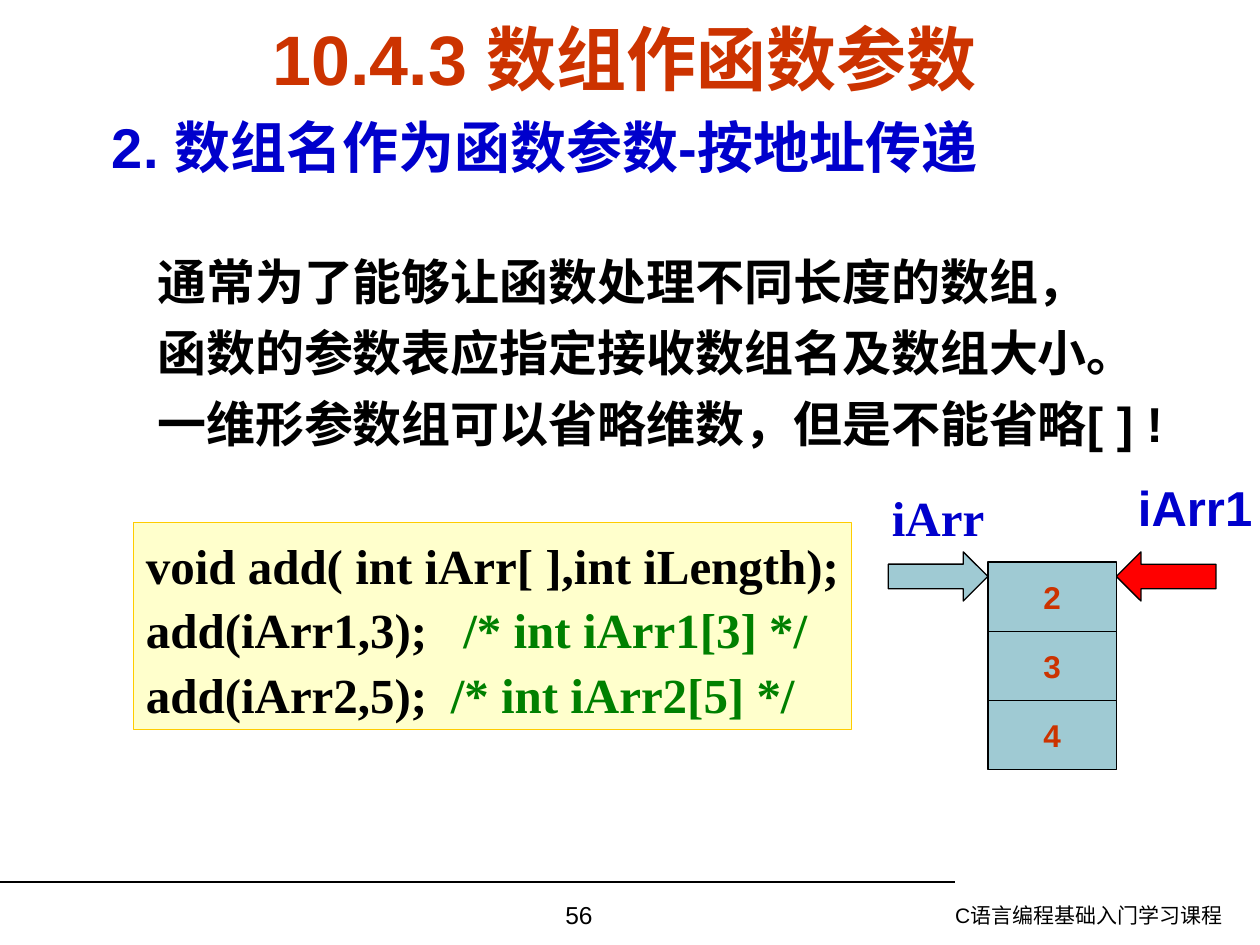
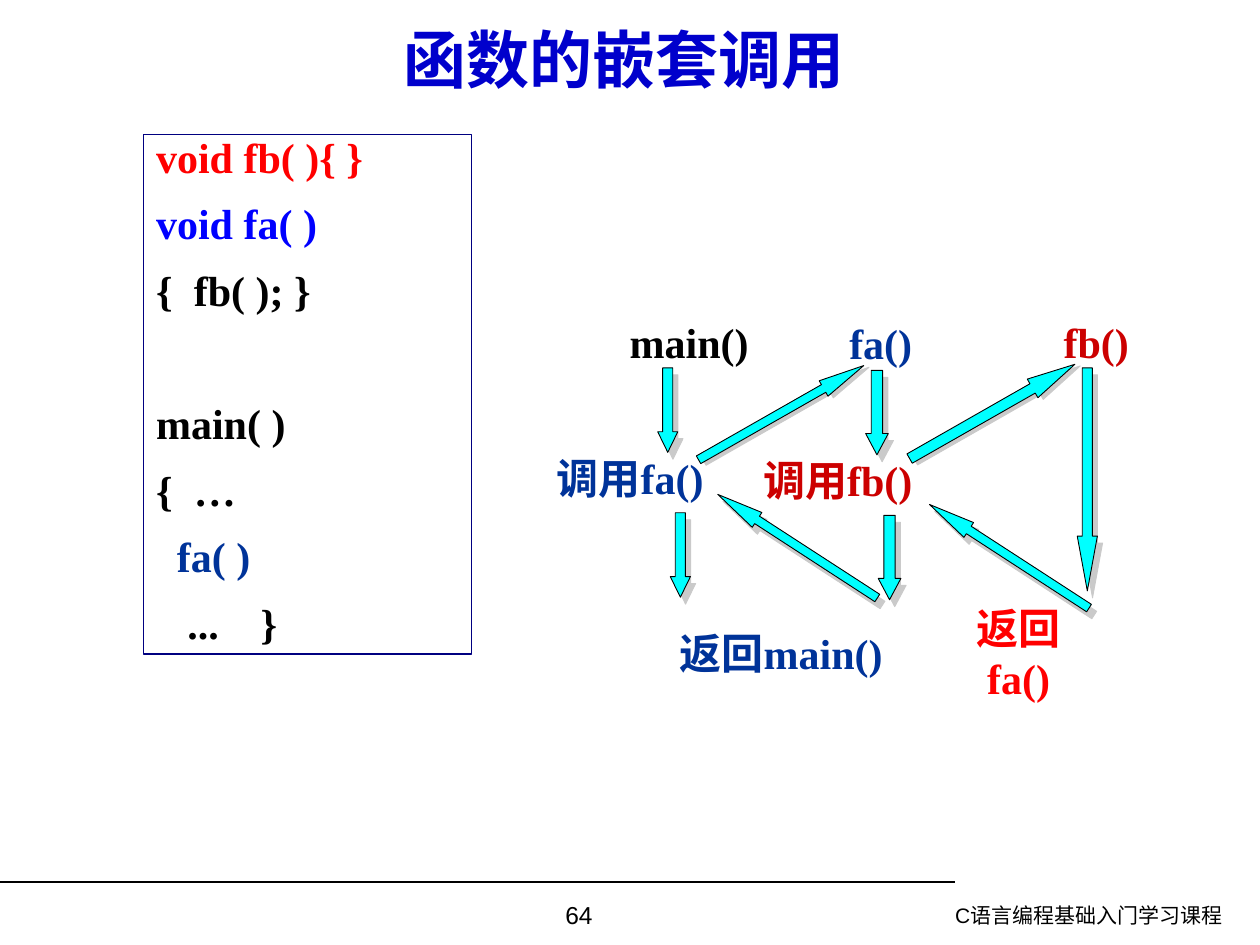
from dataclasses import dataclass

from lxml import etree
from pptx import Presentation
from pptx.dml.color import RGBColor
from pptx.enum.shapes import MSO_CONNECTOR, MSO_SHAPE
from pptx.enum.text import MSO_ANCHOR, PP_ALIGN
from pptx.oxml.ns import qn
from pptx.util import Inches, Pt

SANS, SERIF = "Arial", "Times New Roman"
BLACK, RED, BLUE = "000000", "FF0000", "0000CC"
NAVY, CRIMSON, RUST, GREEN = "003399", "CC0000", "CC3300", "008000"
TEAL, CYAN, SHADOW = "9FCAD3", "00FFFF", "CACACA"
COURSE = "C语言编程基础入门学习课程"


@dataclass(frozen=True)
class Box:
    left: float
    top: float
    width: float
    height: float


@dataclass(frozen=True)
class Line:
    """One paragraph, as (text, colour) pieces."""
    pieces: tuple
    size: float
    font: str = SERIF
    bold: bool = True
    align: PP_ALIGN = PP_ALIGN.LEFT
    before: float = 0
    spacing: float = 1.0
    indent: float = 0
    tabs: tuple = ()


@dataclass(frozen=True)
class Label:
    """A centred caption of one or more lines."""
    box: Box
    lines: tuple
    color: str
    size: float = 24
    font: str = SERIF


@dataclass(frozen=True)
class CallArrow:
    box: Box
    head: float
    rotation: float = 0
    distance: float = 5
    direction: float = 53


def rgb(color: str) -> RGBColor:
    return RGBColor.from_string(color)


def place(box: Box) -> tuple:
    return tuple(map(Inches, (box.left, box.top, box.width, box.height)))


def write(shape, lines, anchor=MSO_ANCHOR.TOP, wrap: bool = True) -> None:
    frame = shape.text_frame
    frame.word_wrap = wrap
    frame.vertical_anchor = anchor
    for index, line in enumerate(lines):
        paragraph = frame.add_paragraph() if index else frame.paragraphs[0]
        paragraph.alignment = line.align
        paragraph.line_spacing = line.spacing
        if line.before:
            paragraph.space_before = Pt(line.before)
        props = paragraph._p.get_or_add_pPr()
        if line.indent:
            props.set("marL", str(Inches(line.indent)))
        if line.tabs:
            stops = etree.SubElement(props, qn("a:tabLst"))
            for stop in line.tabs:
                etree.SubElement(stops, qn("a:tab"), pos=str(Inches(stop)), algn="l")
        font = paragraph.font
        font.name, font.size, font.bold = line.font, Pt(line.size), line.bold
        if len(line.pieces) == 1:
            font.color.rgb = rgb(line.pieces[0][1])
        for text, color in line.pieces:
            run = paragraph.add_run()
            run.text = text
            if len(line.pieces) > 1:
                run.font.color.rgb = rgb(color)


def add_text(slide, box: Box, lines):
    text_box = slide.shapes.add_textbox(*place(box))
    write(text_box, lines)
    return text_box


def add_label(slide, label: Label) -> None:
    caption = slide.shapes.add_textbox(*place(label.box))
    # Full box width keeps every caption line whole
    caption.text_frame.margin_left = caption.text_frame.margin_right = Inches(0)
    write(caption, [Line(((text, label.color),), label.size, label.font,
                         align=PP_ALIGN.CENTER) for text in label.lines],
          MSO_ANCHOR.MIDDLE, wrap=False)


def add_block(slide, kind, box: Box, fill: str | None, line: str = BLACK,
              weight: float = 0.75):
    block = slide.shapes.add_shape(kind, *place(box))
    if fill:
        block.fill.solid()
        block.fill.fore_color.rgb = rgb(fill)
    else:
        block.fill.background()
    block.line.color.rgb = rgb(line)
    block.line.width = Pt(weight)
    block.shadow.inherit = False
    return block


def add_pointer(slide, box: Box, fill: str, rotation: float = 0) -> None:
    pointer = add_block(slide, MSO_SHAPE.RIGHT_ARROW, box, fill)
    pointer.rotation = rotation


def add_call_arrow(slide, call: CallArrow) -> None:
    arrow = add_block(slide, MSO_SHAPE.DOWN_ARROW, call.box, CYAN, weight=0.5)
    arrow.adjustments[1] = call.head
    arrow.rotation = call.rotation
    effects = arrow._element.spPr.find(qn("a:effectLst"))
    shadow = etree.SubElement(effects, qn("a:outerShdw"), dist=str(Pt(call.distance)),
                              dir=str(round(call.direction * 60000)),
                              algn="ctr", rotWithShape="0")
    etree.SubElement(shadow, qn("a:srgbClr"), val=SHADOW)


def start_slide(deck, title: str, size: float, color: str, number: int):
    """Blank slide with the common title, rule, page number and course name."""
    slide = deck.slides.add_slide(deck.slide_layouts[6])
    rule = slide.shapes.add_connector(MSO_CONNECTOR.STRAIGHT, Inches(0), Inches(7),
                                      Inches(7.58), Inches(7))
    rule.line.color.rgb = rgb(BLACK)
    rule.line.width = Pt(0.75)
    etree.SubElement(rule._element.spPr, qn("a:effectLst"))
    add_text(slide, Box(6.57, 7.11, 3.23, 0.39),
             [Line(((COURSE, BLACK),), 12, SANS, False, PP_ALIGN.RIGHT)])
    add_text(slide, Box(3.43, 7.09, 2.33, 0.41),
             [Line(((str(number), BLACK),), 14, SANS, False, PP_ALIGN.CENTER)])
    add_label(slide, Label(Box(0.43, 0.21, 9.05, 0.5), (title,), color, size, SANS))
    return slide


def build_array_slide(deck) -> None:
    slide = start_slide(deck, "10.4.3 数组作函数参数", 40, RUST, 56)

    # Explanation
    rules = ("通常为了能够让函数处理不同长度的数组，",
             "函数的参数表应指定接收数组名及数组大小。",
             "一维形参数组可以省略维数，但是不能省略[ ] !")
    explanation = [Line((("2. 数组名作为函数参数-按地址传递", BLUE),), 32, SANS)]
    explanation += [Line(((text, BLACK),), 28, SANS, before=7 if index else 41, indent=0.36)
                    for index, text in enumerate(rules)]
    add_text(slide, Box(0.79, 0.84, 9.2, 2.95), explanation)

    # Code
    code = add_block(slide, MSO_SHAPE.RECTANGLE, Box(1.06, 4.15, 5.7, 1.64),
                     "FFFFCC", "FFCC00")
    write(code, [
        Line((("void add( int iArr[ ],int iLength);", BLACK),), 28, spacing=1.1),
        Line((("add(iArr1,3);\t", BLACK), ("/* int iArr1[3] */", GREEN)), 28,
             spacing=1.1, tabs=(2.52,)),
        Line((("add(iArr2,5);\t", BLACK), ("/* int iArr2[5] */", GREEN)), 28,
             spacing=1.1, tabs=(2.42,)),
    ], MSO_ANCHOR.MIDDLE, wrap=False)

    # Array cells with a pointer on each side
    array = Box(7.84, 4.46, 1.02, 0.55)
    pointer_width = 0.79
    add_pointer(slide, Box(array.left - pointer_width, 4.38, pointer_width, 0.39), TEAL)
    add_pointer(slide, Box(array.left + array.width, 4.38, pointer_width, 0.39), RED, 180)
    add_label(slide, Label(Box(6.95, 3.83, 0.99, 0.55), ("iArr",), BLUE, 28))
    add_label(slide, Label(Box(8.98, 3.75, 1.01, 0.55), ("iArr1",), BLUE, 28, SANS))
    for index, value in enumerate("234"):
        cell = add_block(slide, MSO_SHAPE.RECTANGLE,
                         Box(array.left, array.top + index * array.height,
                             array.width, array.height), TEAL)
        write(cell, [Line(((value, RUST),), 18, SANS, align=PP_ALIGN.CENTER)],
              MSO_ANCHOR.MIDDLE, wrap=False)


def build_nesting_slide(deck) -> None:
    slide = start_slide(deck, "函数的嵌套调用", 36, BLUE, 64)

    # Code: text, colour, space before, tab stops
    listing = (
        ("void fb( ){ }", RED, 0, ()),
        ("void fa( )", "0000FF", 15, ()),
        ("{\tfb( ); }", BLACK, 15, (0.3,)),
        ("main( )", BLACK, 53, ()),
        ("{\t…", BLACK, 15, (0.3,)),
        ("  fa( )", NAVY, 15, ()),
        ("   ...\t}", BLACK, 15, (0.83,)),
    )
    code = add_block(slide, MSO_SHAPE.RECTANGLE, Box(1.14, 1.07, 2.6, 4.12), None, "000080")
    write(code, [Line(((text, color),), 24, before=before, spacing=0.8, tabs=tabs)
                 for text, color, before, tabs in listing])

    # Call and return arrows
    for call in (
        CallArrow(Box(5.22, 2.92, 0.16, 0.67), 1.02),
        CallArrow(Box(6.87, 2.94, 0.18, 0.67), 0.94),
        CallArrow(Box(8.55, 2.92, 0.16, 1.77), 2.72),
        CallArrow(Box(6.13, 2.52, 0.14, 1.51), 2.62, 240.3, 3.2, 18),
        CallArrow(Box(7.79, 2.51, 0.17, 1.51), 2.27, 240.3, 3.2, 18),
        CallArrow(Box(5.32, 4.07, 0.16, 0.67), 1.02),
        CallArrow(Box(6.97, 4.09, 0.18, 0.67), 0.94),
        CallArrow(Box(7.94, 3.66, 0.14, 1.51), 2.65, 123),
        CallArrow(Box(6.26, 3.58, 0.14, 1.51), 2.65, 123),
    ):
        add_call_arrow(slide, call)

    # Function names and steps
    for label in (
        Label(Box(4.9, 2.46, 1.14, 0.5), ("main()",), BLACK),
        Label(Box(6.64, 2.47, 0.7, 0.5), ("fa()",), NAVY),
        Label(Box(8.34, 2.46, 0.72, 0.5), ("fb()",), CRIMSON),
        Label(Box(4.24, 3.54, 1.52, 0.5), ("调用fa()",), NAVY),
        Label(Box(5.92, 3.56, 1.46, 0.5), ("调用fb()",), CRIMSON),
        Label(Box(7.36, 4.73, 1.45, 0.9), ("返回", "fa()"), RED),
        Label(Box(5.2, 4.93, 2, 0.5), ("返回main()",), NAVY),
    ):
        add_label(slide, label)


def main() -> None:
    deck = Presentation()
    deck.slide_width, deck.slide_height = Inches(10), Inches(7.5)
    build_array_slide(deck)
    build_nesting_slide(deck)
    deck.save("out.pptx")


if __name__ == "__main__":
    main()
